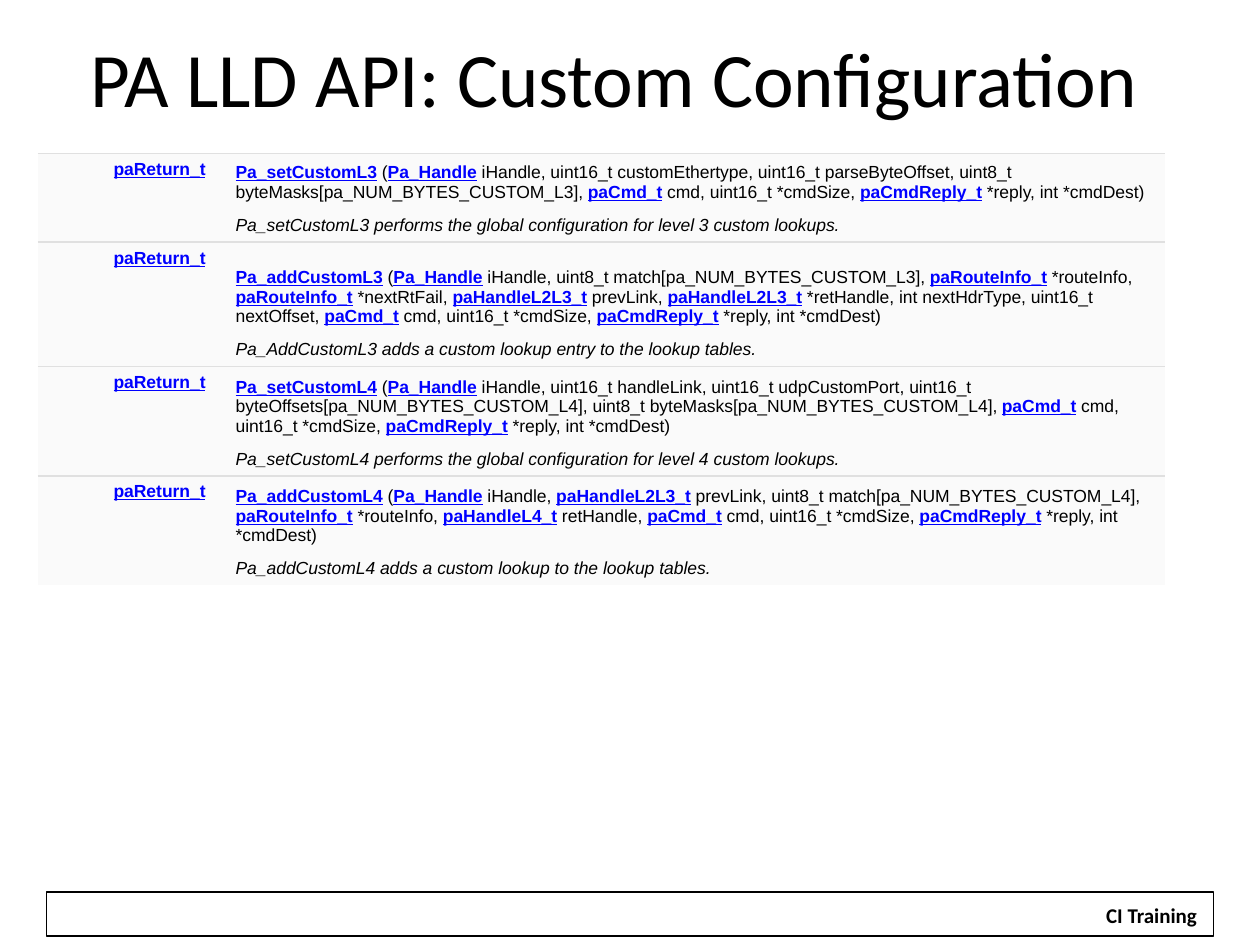
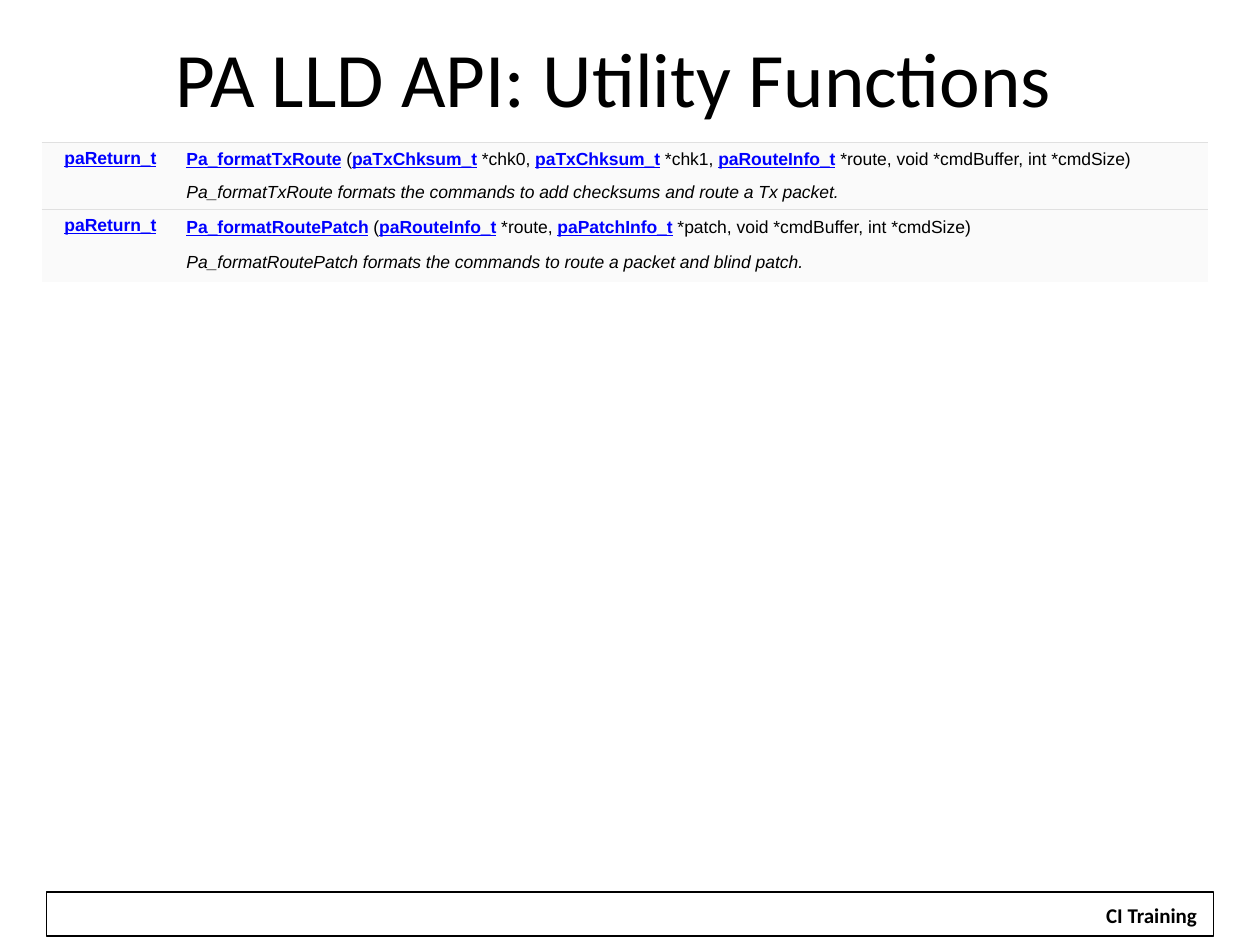
from lxml.etree import SubElement
from pptx import Presentation
from pptx.dml.color import RGBColor
from pptx.enum.shapes import MSO_SHAPE as SHAPE
from pptx.enum.text import MSO_ANCHOR as ANCHOR, PP_ALIGN as ALIGN
from pptx.oxml.ns import qn
from pptx.util import Inches, Pt

BLACK, WHITE, LINK, PANEL, RULE = "000000", "FFFFFF", "0000FF", "FAFAFA", "E0E0E0"
NO_STYLE = "{2D5ABB26-0587-4C30-8999-92F81FD0307C}"
FOOTER = "CI Training"

# Signatures alternate between linked names and plain text, split by "|".
RETURN_TYPE = "paReturn_t| "
SLIDES = [
    {
        "title": "PA LLD API: Custom Configuration",
        "at": (0.3, 1.22),
        "cols": (1.47, 7.48),
        "functions": [
            ("Pa_setCustomL3| (|Pa_Handle| iHandle, uint16_t customEthertype, "
             "uint16_t parseByteOffset, uint8_t byteMasks[pa_NUM_BYTES_CUSTOM_L3], "
             "|paCmd_t| cmd, uint16_t *cmdSize, |paCmdReply_t| *reply, int *cmdDest)",
             "Pa_setCustomL3 performs the global configuration for level 3 custom lookups.",
             0.4, 0.25),
            ("Pa_addCustomL3| (|Pa_Handle| iHandle, uint8_t match[pa_NUM_BYTES_CUSTOM_L3], "
             "|paRouteInfo_t| *routeInfo, |paRouteInfo_t| *nextRtFail, "
             "|paHandleL2L3_t| prevLink, |paHandleL2L3_t| *retHandle, int nextHdrType, "
             "uint16_t nextOffset, |paCmd_t| cmd, uint16_t *cmdSize, "
             "|paCmdReply_t| *reply, int *cmdDest)",
             "Pa_AddCustomL3 adds a custom lookup entry to the lookup tables.",
             0.72, 0.25),
            ("Pa_setCustomL4| (|Pa_Handle| iHandle, uint16_t handleLink, "
             "uint16_t udpCustomPort, uint16_t byteOffsets[pa_NUM_BYTES_CUSTOM_L4], "
             "uint8_t byteMasks[pa_NUM_BYTES_CUSTOM_L4], "
             "|paCmd_t| cmd, uint16_t *cmdSize, |paCmdReply_t| *reply, int *cmdDest)",
             "Pa_setCustomL4 performs the global configuration for level 4 custom lookups.",
             0.59, 0.25),
            ("Pa_addCustomL4| (|Pa_Handle| iHandle, |paHandleL2L3_t| prevLink, "
             "uint8_t match[pa_NUM_BYTES_CUSTOM_L4], |paRouteInfo_t| *routeInfo, "
             "|paHandleL4_t| retHandle, |paCmd_t| cmd, uint16_t *cmdSize, "
             "|paCmdReply_t| *reply, int *cmdDest)",
             "Pa_addCustomL4 adds a custom lookup to the lookup tables.",
             0.46, 0.25),
        ],
    },
    {
        "title": "PA LLD API: Utility Functions",
        "at": (0.33, 1.13),
        "cols": (1.05, 8.21),
        "functions": [
            ("Pa_formatTxRoute| (|paTxChksum_t| *chk0, |paTxChksum_t| *chk1, "
             "|paRouteInfo_t| *route, void *cmdBuffer, int *cmdSize)",
             "Pa_formatTxRoute formats the commands to add checksums and route a Tx packet.",
             0.26, 0.26),
            ("Pa_formatRoutePatch| (|paRouteInfo_t| *route, |paPatchInfo_t| *patch, "
             "void *cmdBuffer, int *cmdSize)",
             "Pa_formatRoutePatch formats the commands to route a packet and blind patch.",
             0.26, 0.31),
        ],
    },
]


def rgb(color):
    return RGBColor.from_string(color)


def style(font, name, size, color=BLACK, bold=False):
    font.name, font.size, font.bold = name, Pt(size), bold
    font.color.rgb = rgb(color)


def add_box(slide, x, y, w, h, fill=None, line=None):
    sp = slide.shapes.add_shape(SHAPE.RECTANGLE, *map(Inches, (x, y, w, h)))
    sp.shadow.inherit = False
    if fill:
        sp.fill.solid()
        sp.fill.fore_color.rgb = rgb(fill)
    else:
        sp.fill.background()
    if line:
        sp.line.color.rgb = rgb(line)
        sp.line.width = Pt(0.75)
    else:
        sp.line.fill.background()
    return sp


def set_text(sp, text, size, bold=False, wrap=True):
    tf = sp.text_frame
    tf.word_wrap = wrap
    tf.vertical_anchor = ANCHOR.MIDDLE
    p = tf.paragraphs[0]
    p.text = text
    p.alignment = ALIGN.CENTER
    style(p.runs[0].font, "Calibri", size, bold=bold)


def add_frame(slide, title):
    add_box(slide, 0.37, 7.08, 9.26, 0.35, line=BLACK)
    set_text(add_box(slide, 8.67, 7.11, 0.94, 0.3, fill=WHITE), FOOTER, 12, True, False)
    box = slide.shapes.add_textbox(*map(Inches, (0.25, 0.16, 9.25, 0.89)))
    set_text(box, title, 44)


def add_signature(cell, signature):
    p = cell.text_frame.paragraphs[0]
    for i, part in enumerate(signature.split("|")):
        r = p.add_run()
        r.text = part
        linked = i % 2 == 0
        style(r.font, "Arial", 10, LINK if linked else BLACK, linked)
        r.font.underline = linked
    return p


def add_rule(cell, side):
    ln = SubElement(cell._tc.get_or_add_tcPr(), qn(f"a:{side}"), w=str(Pt(1)))
    SubElement(SubElement(ln, qn("a:solidFill")), qn("a:srgbClr"), val=RULE)


def add_function_table(slide, at, cols, functions):
    heights = [h for f in functions for h in f[2:]]
    size = (sum(cols), sum(heights))
    table = slide.shapes.add_table(
        len(heights), len(cols), *map(Inches, at + size)).table
    table.first_row = table.horz_banding = False
    table._tbl.tblPr.find(qn("a:tableStyleId")).text = NO_STYLE
    for col, w in zip(table.columns, cols):
        col.width = Inches(w)
    for i, (row, h) in enumerate(zip(table.rows, heights)):
        row.height = Inches(h)
        for cell in row.cells:
            if i == 0:
                add_rule(cell, "lnT")
            if i % 2 and i < len(heights) - 1:
                add_rule(cell, "lnB")
            cell.fill.solid()
            cell.fill.fore_color.rgb = rgb(PANEL)

    for i, (signature, description, *_) in enumerate(functions):
        kind, call = table.rows[2 * i].cells
        blank, detail = table.rows[2 * i + 1].cells
        add_signature(kind, RETURN_TYPE).alignment = ALIGN.RIGHT
        add_signature(call, signature)
        call.vertical_anchor = ANCHOR.BOTTOM
        p = blank.text_frame.paragraphs[0]
        SubElement(p._p, qn("a:endParaRPr"), sz="1000")
        detail.vertical_anchor = ANCHOR.MIDDLE
        p = detail.text_frame.paragraphs[0]
        p.text = description
        style(p.runs[0].font, "Arial", 10)
        p.runs[0].font.italic = True


def main():
    prs = Presentation()
    prs.slide_width, prs.slide_height = Inches(10), Inches(7.5)
    for content in SLIDES:
        slide = prs.slides.add_slide(prs.slide_layouts[6])
        add_frame(slide, content["title"])
        add_function_table(slide, content["at"], content["cols"], content["functions"])
    prs.save("out.pptx")


if __name__ == "__main__":
    main()
